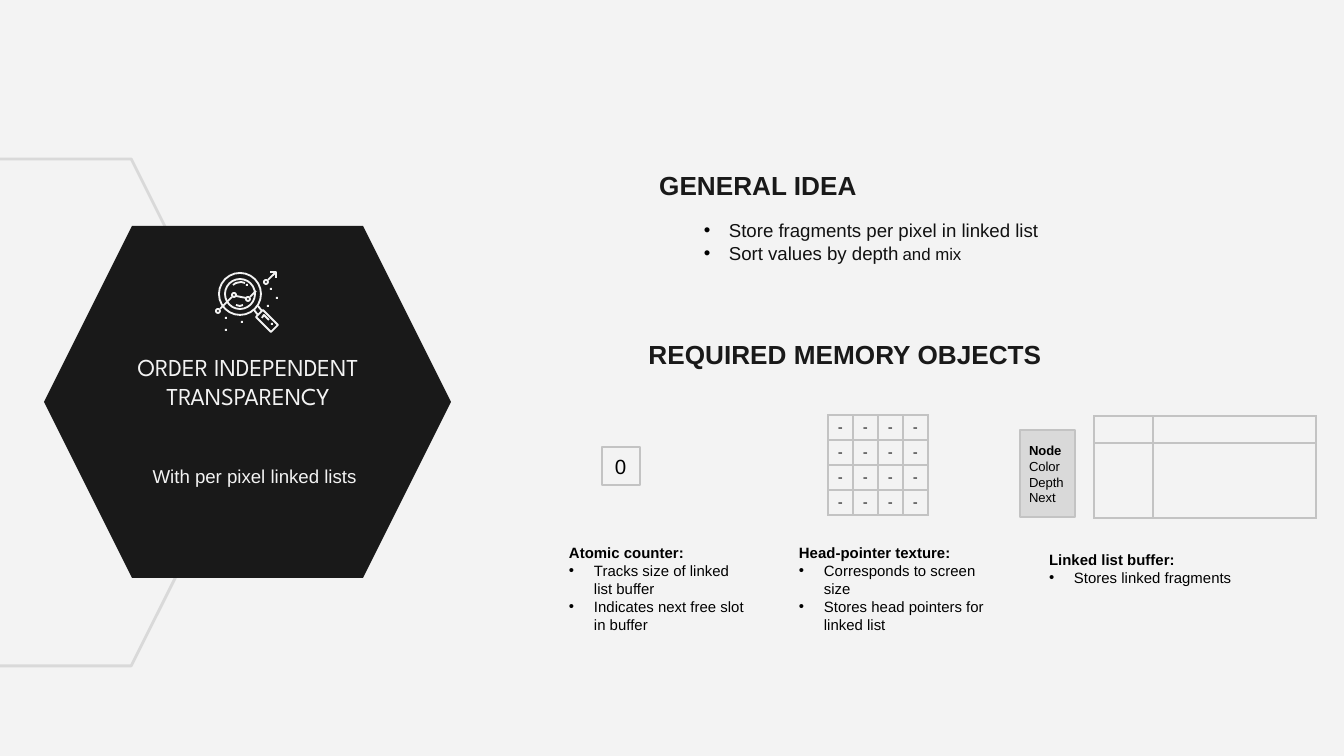
from lxml.etree import SubElement
from pptx import Presentation
from pptx.dml.color import RGBColor
from pptx.enum.shapes import MSO_CONNECTOR, MSO_SHAPE
from pptx.enum.text import MSO_ANCHOR, MSO_AUTO_SIZE, PP_ALIGN
from pptx.oxml.ns import qn
from pptx.util import Emu, Pt

PAPER = RGBColor(0xF3, 0xF3, 0xF3)
INK = RGBColor(0x19, 0x19, 0x19)
LIST_INK = RGBColor(0x11, 0x11, 0x11)
BLACK = RGBColor(0, 0, 0)
PALE = RGBColor(0xD9, 0xD9, 0xD9)
EDGE = RGBColor(0xC3, 0xC3, 0xC3)
PX = 914400 / 134.4
INSET, INDENT = 13, 25


def px(*lengths):
    return [Emu(round(length * PX)) for length in lengths]


def fill_text(box, lines, size, color, align=PP_ALIGN.LEFT, bold_first=False,
              bullets_from=99, font="Arial", inset=INSET):
    frame = box.text_frame
    frame.word_wrap = True
    frame.auto_size = MSO_AUTO_SIZE.NONE
    frame.vertical_anchor = MSO_ANCHOR.TOP
    frame.margin_left = frame.margin_right = px(INSET)[0]
    frame.margin_top = frame.margin_bottom = px(inset)[0]
    frame.text = "\n".join(lines)
    for index, para in enumerate(frame.paragraphs):
        para.alignment = align
        para.space_before = Pt(0)
        if index >= bullets_from:
            props = para._p.get_or_add_pPr()
            props.set("marL", str(px(INDENT)[0]))
            props.set("indent", str(-px(INDENT)[0]))
            SubElement(SubElement(props, qn("a:buClr")), qn("a:srgbClr"), val=str(BLACK))
            SubElement(props, qn("a:buFont"), typeface="Arial")
            SubElement(props, qn("a:buChar"), char="•")
        for span in para.runs:
            span.font.name = font
            span.font.size = Pt(size)
            span.font.color.rgb = color
            span.font.bold = bold_first and index == 0
    return frame


deck = Presentation()
deck.slide_width, deck.slide_height = px(1344, 756)
page = deck.slides.add_slide(deck.slide_layouts[0])
page.background.fill.solid()
page.background.fill.fore_color.rgb = PAPER
shapes = page.shapes

# Hexagons, counter box and node box
for kind, place, fill, line, width in [
    (MSO_SHAPE.HEXAGON, (-327, 159, 585, 507), None, PALE, 1.5),
    (MSO_SHAPE.HEXAGON, (44, 226, 407, 352), INK, None, 0),
    (MSO_SHAPE.RECTANGLE, (602, 447, 38, 38), PAPER, EDGE, 1),
    (MSO_SHAPE.RECTANGLE, (1020, 430, 55, 87), PALE, EDGE, 1),
]:
    shape = shapes.add_shape(kind, *px(*place))
    shape.shadow.inherit = False
    if kind == MSO_SHAPE.HEXAGON:
        shape.adjustments[0], shape.adjustments[1] = 0.25, 1.1547
    if fill is None:
        shape.fill.background()
    else:
        shape.fill.solid()
        shape.fill.fore_color.rgb = fill
    if line is None:
        shape.line.fill.background()
    else:
        shape.line.color.rgb = line
        shape.line.width = Pt(width)

# Magnifier icon: lens rings and graph nodes
for x, y, radius in [(240, 294, 21), (240, 294, 15), (218, 311, 2),
                     (234, 295, 2), (248, 299, 2), (266, 282, 2)]:
    ring = shapes.add_shape(MSO_SHAPE.OVAL, *px(x - radius, y - radius, 2 * radius, 2 * radius))
    ring.shadow.inherit = False
    ring.fill.background()
    ring.line.color.rgb = PAPER
    ring.line.width = Pt(1)

# Magnifier icon: handle, grip, reflections and arrow tip
for points, closed in [
    ([(263, 310), (278, 325), (271, 332), (256, 317)], True),
    ([(262, 318), (264, 315), (269, 320)], False),
    ([(233, 285), (236, 283), (241, 282), (245, 283)], False),
    ([(236, 305), (240, 306), (243, 305)], False),
    ([(270, 272), (276, 272), (276, 278)], False),
]:
    builder = shapes.build_freeform(*points[0], scale=PX)
    builder.add_line_segments(points[1:], close=closed)
    outline = builder.convert_to_shape()
    outline.shadow.inherit = False
    outline.fill.background()
    outline.line.color.rgb = PAPER
    outline.line.width = Pt(1)

# Magnifier icon: graph links and neck
for ends in [(220, 309, 232, 297), (236, 296, 246, 298), (250, 297, 256, 291),
             (268, 280, 276, 272), (254, 310, 258, 315), (258, 306, 262, 311)]:
    link = shapes.add_connector(MSO_CONNECTOR.STRAIGHT, *px(*ends))
    link.line.color.rgb = PAPER
    link.line.width = Pt(1)
    SubElement(link._element.spPr, qn("a:effectLst"))

# Magnifier icon: specks
for x, y in [(225, 317), (225, 329), (241, 321), (267, 305), (270, 288),
             (276, 297), (246, 284), (271, 323)]:
    speck = shapes.add_shape(MSO_SHAPE.RECTANGLE, *px(x, y, 2, 2))
    speck.shadow.inherit = False
    speck.fill.solid()
    speck.fill.fore_color.rgb = PAPER
    speck.line.fill.background()

# Title and subtitle, brought in front of the dark hexagon
title, subtitle = shapes.title, page.placeholders[1]
for holder, place, text, size, font in [
    (title, (110, 339, 276, 68), "ORDER INDEPENDENT TRANSPARENCY", 13, "League Spartan"),
    (subtitle, (127, 448, 255, 133), "With per pixel linked lists", 10, "Arial"),
]:
    holder.left, holder.top, holder.width, holder.height = px(*place)
    fill_text(holder, [text], size, PAPER, PP_ALIGN.CENTER, font=font)
    shapes.element.append(holder.element)
subtitle.text_frame.paragraphs[0].line_spacing = 1.15

# Section headings
for place, text in [((539, 156, 438, 101), "GENERAL IDEA"),
                    ((626, 325, 438, 101), "REQUIRED MEMORY OBJECTS")]:
    fill_text(shapes.add_textbox(*px(*place)), [text], 14, INK, PP_ALIGN.CENTER, bold_first=True)

# General idea list
idea = fill_text(shapes.add_textbox(*px(691, 206, 392, 142)),
                 ["Store fragments per pixel in linked list", "Sort values by depth"],
                 10, LIST_INK, bullets_from=0)
for text, size in [(" ", 8), ("and mix", 9)]:
    span = idea.paragraphs[1].add_run()
    span.text = text
    span.font.name = "Arial"
    span.font.size = Pt(size)
    span.font.color.rgb = LIST_INK

# Memory object descriptions
for place, lines in [
    ((556, 531, 205, 90), ["Atomic counter:", "Tracks size of linked list buffer",
                           "Indicates next free slot in buffer"]),
    ((786, 531, 222, 95), ["Head-pointer texture:", "Corresponds to screen size",
                           "Stores head pointers for linked list"]),
    ((1036, 538, 230, 85), ["Linked list buffer:", "Stores linked fragments"]),
]:
    fill_text(shapes.add_textbox(*px(*place)), lines, 8, BLACK, bold_first=True, bullets_from=1)

# Counter value and node fields
fill_text(shapes.add_textbox(*px(602, 447, 38, 39)), ["0"], 11, BLACK, inset=7)
fill_text(shapes.add_textbox(*px(1016, 430, 66, 85)), ["Node", "Color", "Depth", "Next"],
          7, BLACK, bold_first=True)

# Head-pointer grid and linked list buffer
for left, top, columns, rows, mark in [(828, 415, [25] * 4, [25] * 4, "-"),
                                       (1094, 416, [59, 163], [27, 75], "")]:
    frame = shapes.add_table(len(rows), len(columns),
                             *px(left, top, sum(columns), sum(rows)))
    table = frame.table
    table.first_row = table.horz_banding = False
    for column, width in zip(table.columns, px(*columns)):
        column.width = width
    for row, height in zip(table.rows, px(*rows)):
        row.height = height
    for cell in table.iter_cells():
        cell.margin_left = cell.margin_right = px(8)[0]
        cell.margin_top = cell.margin_bottom = px(3)[0]
        cell.vertical_anchor = MSO_ANCHOR.MIDDLE
        para = cell.text_frame.paragraphs[0]
        para.alignment = PP_ALIGN.CENTER
        if mark:
            para.text = mark
            span = para.runs[0]
            span.font.name = "Arial"
            span.font.size = Pt(8)
            span.font.color.rgb = INK
        else:
            SubElement(para._p, qn("a:endParaRPr"), sz="800")
        props = cell._tc.get_or_add_tcPr()
        for side in ("a:lnL", "a:lnR", "a:lnT", "a:lnB"):
            border = SubElement(props, qn(side), w=str(Pt(1)))
            SubElement(SubElement(border, qn("a:solidFill")), qn("a:srgbClr"), val=str(EDGE))
        cell.fill.solid()
        cell.fill.fore_color.rgb = PAPER

deck.save("out.pptx")
